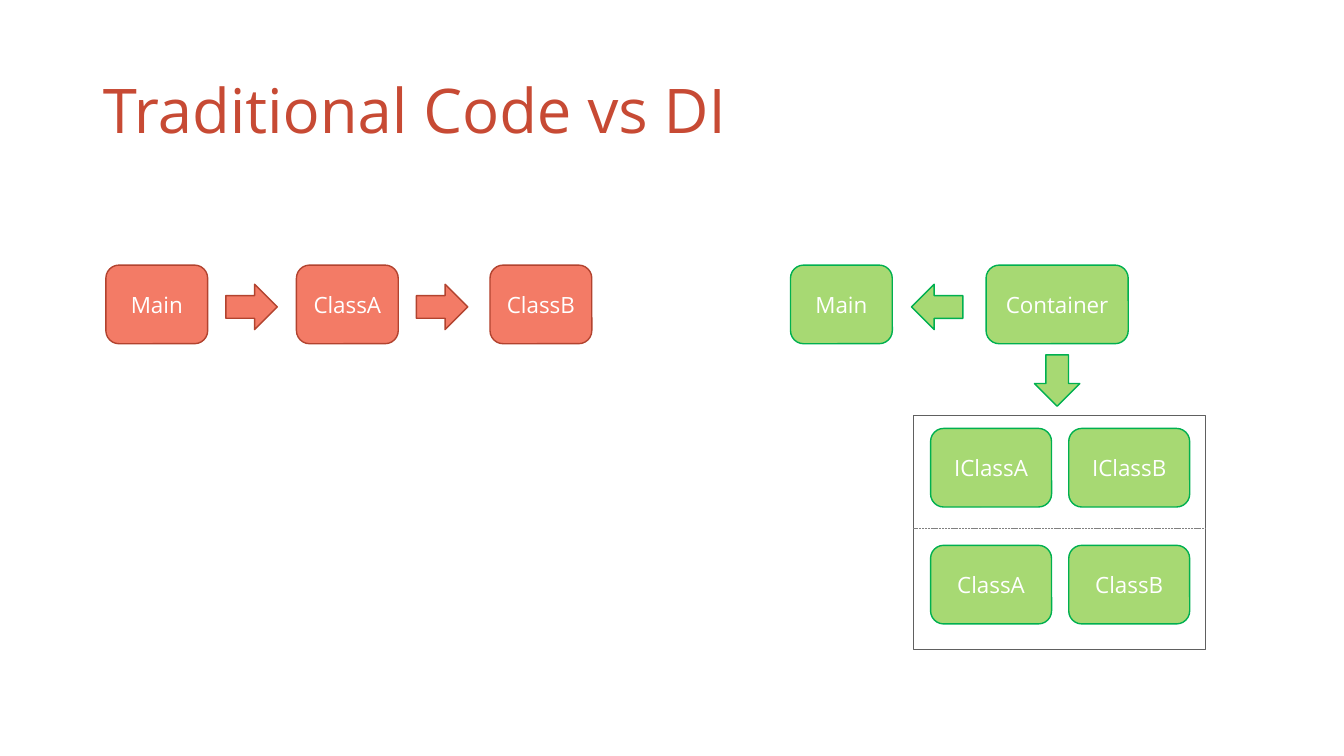
"""Build the slide that compares traditional code with dependency injection."""
import pptx
import pptx.util
import pptx.dml.color
import pptx.enum.dml
import pptx.enum.shapes
import pptx.enum.text
import pptx.oxml
import pptx.oxml.ns
from pptx.util import Inches

TITLE = "Traditional Code vs DI"
TRADITIONAL = [("Main", 1.05), ("ClassA", 2.94), ("ClassB", 4.86)]
INJECTED = [("Main", 7.84, 1.01), ("Container", 9.78, 1.41)]
REGISTRY = [["IClassA", "IClassB"], ["ClassA", "ClassB"]]
TRADITIONAL_ARROWS = [(2.24, 2.82, 0), (4.13, 2.82, 0)]
INJECTED_ARROWS = [(9.04, 2.82, 180), (10.23, 3.55, 90)]

THEME = {
    "font": "Open Sans", "title_size": 44, "label_size": 16,
    "title": "C74A34", "label": "FFFFFF", "frame": "606060", "divider": "808080",
    "traditional": ("F15B40", "B2432F"), "injected": ("92D050", "00B050"),
    "opacity": 80,
}
ROW_TOP, BOX_WIDTH, BOX_HEIGHT = 2.63, 1.01, 0.78
ARROW_WIDTH, ARROW_HEIGHT = 0.51, 0.45
FRAME = (9.06, 4.12, 2.9, 2.32)
DIVIDER_TOP = 5.24
CELL_LEFT, CELL_TOP, CELL_WIDTH = 9.23, 4.25, 1.2
COLUMN_STEP, ROW_STEP = 1.37, 1.16

SHAPES = pptx.enum.shapes.MSO_SHAPE
ALIGN = pptx.enum.text.PP_ALIGN
FRAME_FORMAT = {
    "word_wrap": True,
    "auto_size": pptx.enum.text.MSO_AUTO_SIZE.NONE,
    "vertical_anchor": pptx.enum.text.MSO_ANCHOR.MIDDLE,
}


def apply(target, values):
    """Set each attribute of target from a dict."""
    for name, value in values.items():
        setattr(target, name, value)


def color(value):
    """Return a colour object for a hex value."""
    return pptx.dml.color.RGBColor.from_string(value)


def write(holder, text, size, ink, paragraph_format):
    """Write one formatted paragraph into a shape."""
    apply(holder.text_frame, FRAME_FORMAT)
    paragraph = holder.text_frame.paragraphs[0]
    apply(paragraph, paragraph_format)
    run = paragraph.add_run()
    run.text = text
    apply(run.font, {"name": THEME["font"], "size": pptx.util.Pt(size)})
    run.font.color.rgb = color(ink)


def outline(part, ink, width):
    """Give a shape or connector its line."""
    part.line.color.rgb = color(ink)
    part.line.width = pptx.util.Pt(width)


def block(side, kind, bounds, palette):
    """Add a translucent shape to one side of the comparison."""
    part = side.shapes.add_shape(kind, *map(Inches, bounds))
    part.shadow.inherit = False
    part.fill.solid()
    fill, edge = THEME[palette]
    part.fill.fore_color.rgb = color(fill)
    tint = part.fill._xPr.find(".//" + pptx.oxml.ns.qn("a:srgbClr"))
    alpha = pptx.oxml.parse_xml(f"<a:alpha {pptx.oxml.ns.nsdecls('a')} val='{THEME['opacity'] * 1000}'/>")
    tint.append(alpha)
    outline(part, edge, 1)
    return part


def box(side, label, left, top, width, palette):
    """Add a labelled rounded box."""
    part = block(side, SHAPES.ROUNDED_RECTANGLE, (left, top, width, BOX_HEIGHT), palette)
    write(part, label, THEME["label_size"], THEME["label"], {"alignment": ALIGN.CENTER})


def arrow(side, left, top, rotation, palette):
    """Add a block arrow turned to its direction."""
    bounds = (left, top, ARROW_WIDTH, ARROW_HEIGHT)
    block(side, SHAPES.RIGHT_ARROW, bounds, palette).rotation = rotation


def draw_traditional(slide):
    """Draw the chain of direct dependencies."""
    side = slide.shapes.add_group_shape()
    for label, left in TRADITIONAL:
        box(side, label, left, ROW_TOP, BOX_WIDTH, "traditional")
    for placement in TRADITIONAL_ARROWS:
        arrow(side, *placement, "traditional")


def draw_injected(slide):
    """Draw the container and the registry it fills."""
    side = slide.shapes.add_group_shape()
    for label, left, width in INJECTED:
        box(side, label, left, ROW_TOP, width, "injected")
    for placement in INJECTED_ARROWS:
        arrow(side, *placement, "injected")

    frame = side.shapes.add_shape(SHAPES.RECTANGLE, *map(Inches, FRAME))
    frame.shadow.inherit = False
    frame.fill.background()
    outline(frame, THEME["frame"], 0.5)
    for row, labels in enumerate(REGISTRY):
        for column, label in enumerate(labels):
            box(side, label, CELL_LEFT + column * COLUMN_STEP,
                CELL_TOP + row * ROW_STEP, CELL_WIDTH, "injected")

    left, _, width, _ = FRAME
    ends = (left, DIVIDER_TOP, left + width, DIVIDER_TOP)
    divider = side.shapes.add_connector(
        pptx.enum.shapes.MSO_CONNECTOR.STRAIGHT, *map(Inches, ends))
    outline(divider, THEME["divider"], 0.5)
    divider.line.dash_style = pptx.enum.dml.MSO_LINE.SQUARE_DOT
    no_effects = pptx.oxml.parse_xml(f"<a:effectLst {pptx.oxml.ns.nsdecls('a')}/>")
    divider._element.spPr.append(no_effects)


def main():
    """Create and save the presentation."""
    deck = pptx.Presentation()
    apply(deck, {"slide_width": Inches(13.33), "slide_height": Inches(7.5)})
    slide = deck.slides.add_slide(deck.slide_layouts[5])
    title = slide.shapes.title
    apply(title, {"left": Inches(0.92), "top": Inches(0.4),
                  "width": Inches(11.5), "height": Inches(1.45)})
    write(title, TITLE, THEME["title_size"], THEME["title"],
          {"alignment": ALIGN.LEFT, "line_spacing": 0.9})
    draw_traditional(slide)
    draw_injected(slide)
    deck.save("out.pptx")


if __name__ == "__main__":
    main()
